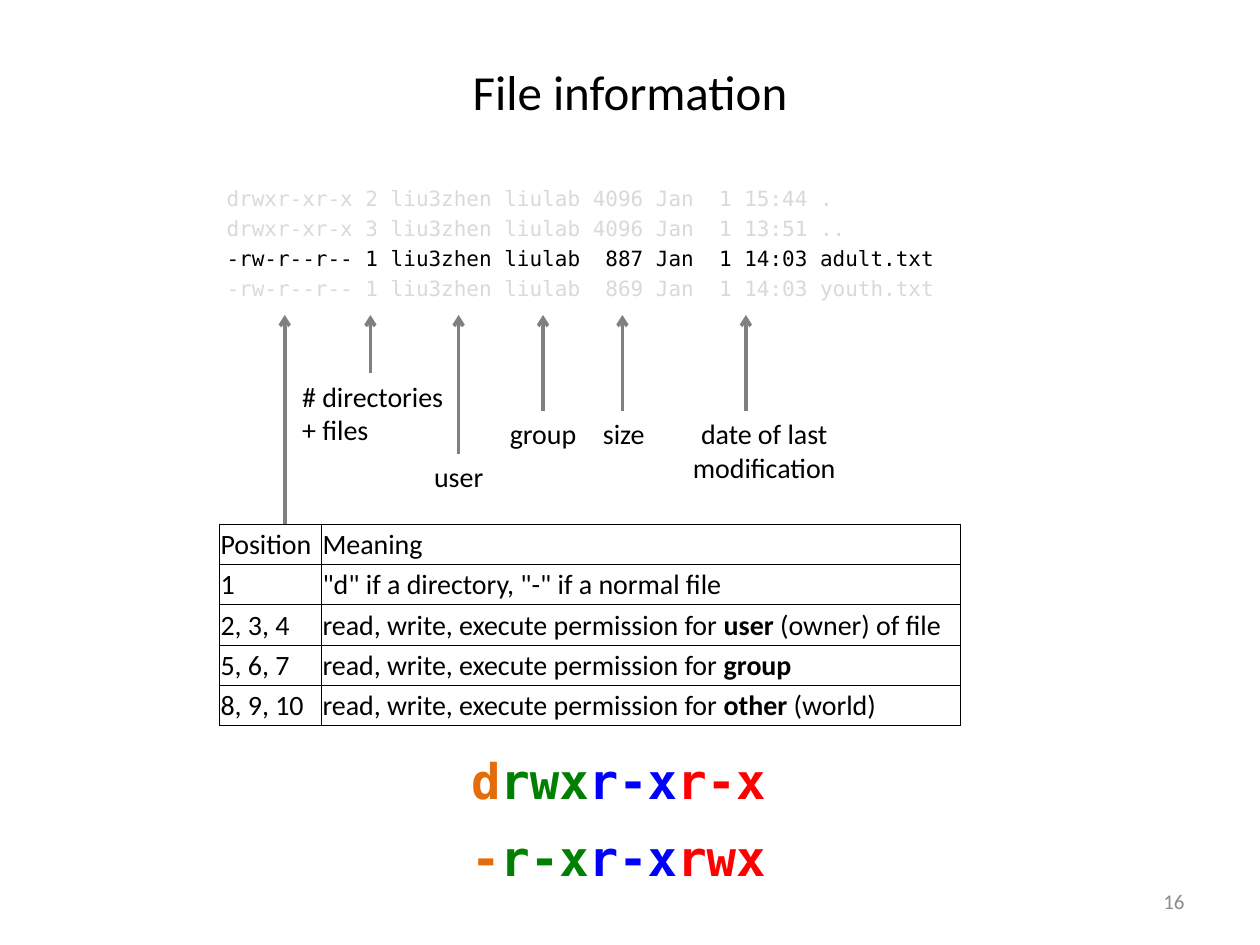
from lxml import etree
from pptx import Presentation
from pptx.dml.color import RGBColor
from pptx.enum.shapes import MSO_CONNECTOR
from pptx.enum.text import MSO_ANCHOR, MSO_AUTO_SIZE, PP_ALIGN
from pptx.oxml import parse_xml
from pptx.oxml.ns import nsdecls, qn
from pptx.util import Inches, Pt

LEFT, MID, RIGHT = PP_ALIGN.LEFT, PP_ALIGN.CENTER, PP_ALIGN.RIGHT
TOP, MIDDLE = MSO_ANCHOR.TOP, MSO_ANCHOR.MIDDLE
GROW, FIXED = MSO_AUTO_SIZE.SHAPE_TO_FIT_TEXT, MSO_AUTO_SIZE.NONE
STRAIGHT = MSO_CONNECTOR.STRAIGHT
SANS, MONO = "Calibri", "DejaVu Sans Mono"
BLACK, GREY, PALE = "000000", "808080", "D9D9D9"


def rgb(code):
    return RGBColor.from_string(code)


def add_text(box, lines, size, font=SANS, color=BLACK, align=LEFT,
             anchor=TOP, fit=FIXED, wrap=True):
    """Add a text box with one paragraph for each line and return its frame."""
    frame = slide.shapes.add_textbox(*[Inches(v) for v in box]).text_frame
    frame.word_wrap, frame.auto_size = wrap, fit
    frame.vertical_anchor = anchor
    for i, line in enumerate(lines):
        para = frame.add_paragraph() if i else frame.paragraphs[0]
        para.text, para.alignment = line, align
        para.font.name, para.font.size = font, Pt(size)
        para.font.color.rgb = rgb(color)
    return frame


prs = Presentation()
prs.slide_width, prs.slide_height = Inches(10), Inches(7.5)
slide = prs.slides.add_slide(prs.slide_layouts[6])

# Title and page number
add_text((0.5, 0.3, 9, 0.85), ["File information"], 28, align=MID, anchor=MIDDLE)
add_text((7.17, 6.95, 2.33, 0.4), ["16"], 12, color="8C8C8C",
         align=RIGHT, anchor=MIDDLE)

# File listing, with one line picked out
listing = [
    "drwxr-xr-x 2 liu3zhen liulab 4096 Jan  1 15:44 .",
    "drwxr-xr-x 3 liu3zhen liulab 4096 Jan  1 13:51 ..",
    "-rw-r--r-- 1 liu3zhen liulab  887 Jan  1 14:03 adult.txt",
    "-rw-r--r-- 1 liu3zhen liulab  869 Jan  1 14:03 youth.txt",
]
frame = add_text((1.7, 1.42, 6.25, 1.08), listing, 12, MONO, PALE)
for para in frame.paragraphs[1:]:
    para.space_before = Pt(2.8)
frame.paragraphs[2].font.color.rgb = rgb(BLACK)

# Permission table: every second part of a cell text is bold
rows = [
    ("Position", ["Meaning"]),
    ("1", ['"d" if a directory, "-" if a normal file']),
    ("2, 3, 4", ["read, write, execute permission for ", "user ", "(owner) of file"]),
    ("5, 6, 7", ["read, write, execute permission for ", "group"]),
    ("8, 9, 10", ["read, write, execute permission for ", "other", " (world)"]),
]
table = slide.shapes.add_table(len(rows), 2, Inches(1.74), Inches(4.16),
                               Inches(5.88), Inches(1.6)).table
table.first_row = table.horz_banding = False
table.columns[0].width, table.columns[1].width = Inches(0.81), Inches(5.07)
for r, (place, parts) in enumerate(rows):
    table.rows[r].height = Inches(0.32)
    for c, texts in enumerate(([place], parts)):
        cell = table.cell(r, c)
        cell.margin_left = cell.margin_right = cell.margin_top = Inches(0.01)
        cell.margin_bottom = 0
        cell.vertical_anchor = MIDDLE
        para = cell.text_frame.paragraphs[0]
        para.font.name, para.font.size = SANS, Pt(16)
        para.font.color.rgb = rgb(BLACK)
        for i, text in enumerate(texts):
            run = para.add_run()
            run.text, run.font.bold = text, i % 2 == 1
        props = cell._tc.get_or_add_tcPr()
        for side in ("lnL", "lnR", "lnT", "lnB"):
            props.append(parse_xml(
                f'<a:{side} {nsdecls("a")} w="{Pt(0.5)}"><a:solidFill>'
                f'<a:srgbClr val="{BLACK}"/></a:solidFill></a:{side}>'))
        cell.fill.background()

# Arrows up to the listing: x and start height
arrows = [(2.26, 4.16), (2.94, 2.96), (3.64, 3.6),
          (4.31, 3.26), (4.94, 3.26), (5.92, 3.26)]
for x, y in arrows:
    arrow = slide.shapes.add_connector(STRAIGHT, Inches(x), Inches(y),
                                       Inches(x), Inches(2.5))
    arrow.line.color.rgb, arrow.line.width = rgb(GREY), Pt(2)
    etree.SubElement(arrow.line._get_or_add_ln(), qn("a:tailEnd"), type="arrow")
    etree.SubElement(arrow._element.spPr, qn("a:effectLst"))

# Field labels
labels = [
    ("# directories + files", 2.3, 2.96, 1.34, 0.64, LEFT),
    ("user", 3.25, 3.6, 0.78, 0.37, MID),
    ("group", 3.92, 3.26, 0.78, 0.37, MID),
    ("size", 4.56, 3.26, 0.78, 0.37, MID),
    ("date of last modification", 5.17, 3.26, 1.79, 0.64, MID),
]
for text, *box, align in labels:
    add_text(box, [text], 16, align=align, fit=GROW)

# Permission strings, coloured by type, user, group and other
hues = ["E46C0A", "008000", "0000FF", "FF0000"]
modes = [(5.91, ["d", "rwx", "r-x", "r-x"]), (6.52, ["-", "r-x", "r-x", "rwx"])]
for y, parts in modes:
    frame = add_text((3.64, y, 2.56, 0.57), [""], 28, MONO, fit=GROW, wrap=False)
    para = frame.paragraphs[0]
    para.font.bold = True
    for part, hue in zip(parts, hues):
        run = para.add_run()
        run.text, run.font.color.rgb = part, rgb(hue)

prs.save("out.pptx")
